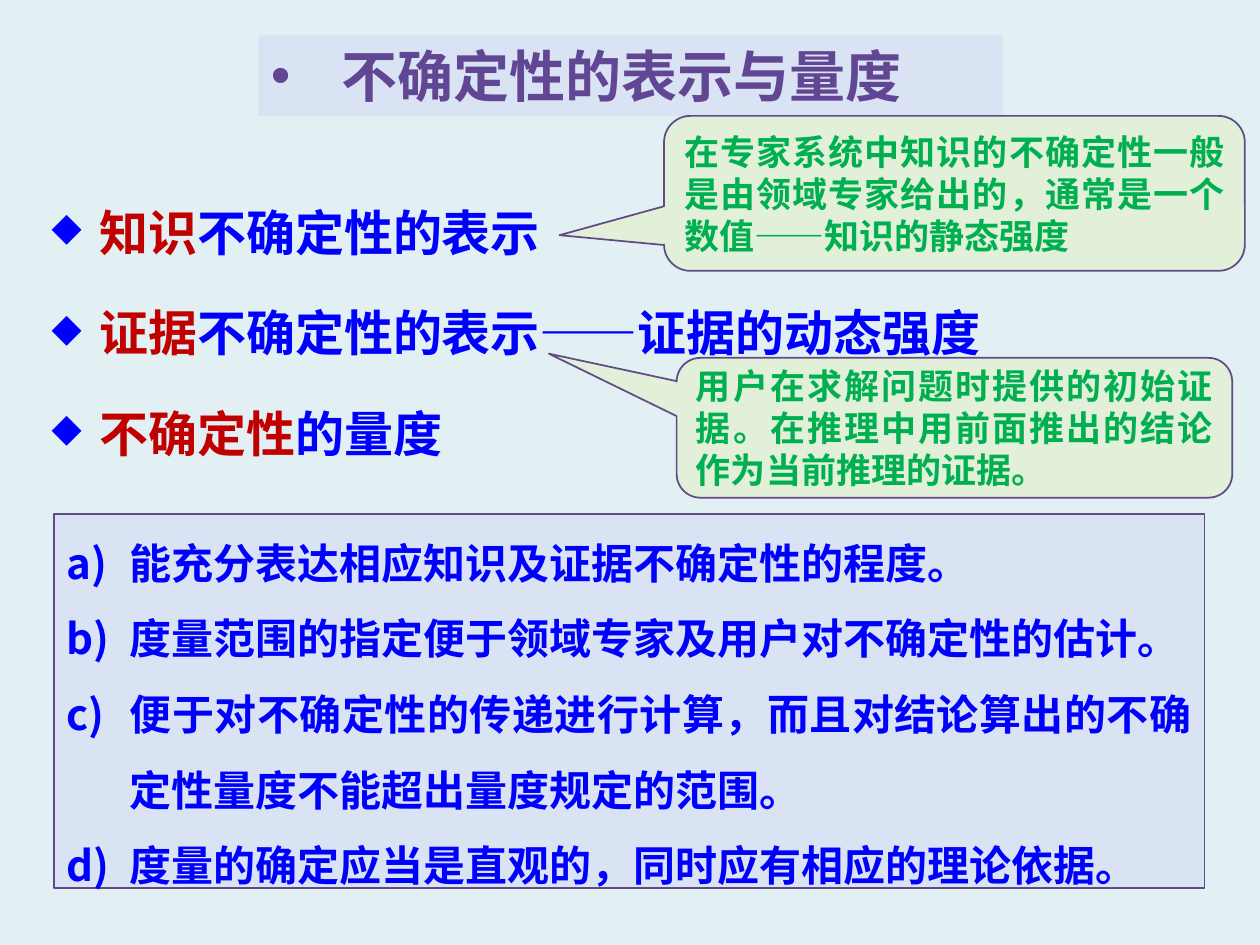
"""Build the slide on representing and measuring uncertainty."""
import lxml.etree
import pptx
import pptx.dml.color
import pptx.enum.shapes
import pptx.enum.text
import pptx.oxml.ns
import pptx.util

Inches = pptx.util.Inches
Pt = pptx.util.Pt
ALIGN = pptx.enum.text.PP_ALIGN
ANCHOR = pptx.enum.text.MSO_ANCHOR
SHAPES = pptx.enum.shapes.MSO_SHAPE
FONT = "Noto Sans CJK SC"
COLORS = {
    "background": "E3F0F3", "panel": "DAE3F3", "callout": "E2F0D9",
    "outline": "604B86", "title": "614693", "blue": "0000FF",
    "red": "C00000", "green": "00B050",
}

TITLE = "不确定性的表示与量度"
TOPICS = [
    [("知识", "red"), ("不确定性的表示", "blue")],
    [("证据", "red"), ("不确定性的表示——证据的动态强度", "blue")],
    [("不确定性", "red"), ("的量度", "blue")],
]
CRITERIA = [
    "能充分表达相应知识及证据不确定性的程度。",
    "度量范围的指定便于领域专家及用户对不确定性的估计。",
    "便于对不确定性的传递进行计算，而且对结论算出的不确定性量度不能超出量度规定的范围。",
    "度量的确定应当是直观的，同时应有相应的理论依据。",
]
CALLOUTS = [
    ("在专家系统中知识的不确定性一般是由领域专家给出的，通常是一个数值——知识的静态强度",
     (5.27, 0.92, 4.61, 1.23), (-0.68, 0.27, 0.17)),
    ("用户在求解问题时提供的初始证据。在推理中用前面推出的结论作为当前推理的证据。",
     (5.37, 2.84, 4.41, 1.11), (-0.73, -0.53, 0.17)),
]


def rgb(name):
    """Return the named colour."""
    return pptx.dml.color.RGBColor.from_string(COLORS[name])


def add_element(parent, tag, **attributes):
    """Append a DrawingML element."""
    element = lxml.etree.SubElement(parent, pptx.oxml.ns.qn(tag))
    for key, value in attributes.items():
        element.set(key, value)
    return element


def place(shape, box):
    """Move and size a shape in inches."""
    shape.left, shape.top, shape.width, shape.height = map(Inches, box)


def add_bullet(paragraph, color, indent, bullet, bullet_size, bullet_font):
    """Give a paragraph a hanging bullet or an automatic letter."""
    properties = paragraph._p.get_or_add_pPr()
    properties.set("marL", str(Inches(indent)))
    properties.set("indent", str(-Inches(indent)))
    add_element(add_element(properties, "a:buClr"), "a:srgbClr", val=COLORS[color])
    if bullet_size:
        add_element(properties, "a:buSzPct", val=str(bullet_size * 1000))
    add_element(properties, "a:buFont", typeface=bullet_font)
    if bullet == "a)":
        add_element(properties, "a:buAutoNum", type="alphaLcParenR")
    else:
        add_element(properties, "a:buChar", char=bullet)


def write(shape, paragraphs, size, color, align=ALIGN.LEFT, anchor=ANCHOR.TOP,
          spacing=1.0, before=0, bullet=None, indent=0, bullet_size=None,
          bullet_font=FONT):
    """Write paragraphs, each a string or a list of (text, colour) runs."""
    frame = shape.text_frame
    frame.word_wrap = True
    frame.auto_size = pptx.enum.text.MSO_AUTO_SIZE.NONE
    frame.vertical_anchor = anchor
    for index, content in enumerate(paragraphs):
        paragraph = frame.add_paragraph() if index else frame.paragraphs[0]
        if bullet:
            add_bullet(paragraph, color, indent, bullet, bullet_size, bullet_font)
        paragraph.alignment = align
        paragraph.line_spacing = spacing
        paragraph.space_before = Pt(before if index else 0)
        runs = [(content, color)] if isinstance(content, str) else content
        for text, run_color in runs:
            run = paragraph.add_run()
            run.text = text
            run.font.size = Pt(size)
            run.font.bold = True
            run.font.name = FONT
            run.font.color.rgb = rgb(run_color)
            add_element(run._r.get_or_add_rPr(), "a:ea", typeface=FONT)


def add_panel(slide, kind, box, fill):
    """Add a filled and outlined shape."""
    shape = slide.shapes.add_shape(kind, *map(Inches, box))
    shape.shadow.inherit = False
    shape.fill.solid()
    shape.fill.fore_color.rgb = rgb(fill)
    shape.line.color.rgb = rgb("outline")
    shape.line.width = Pt(1)
    return shape


def main():
    """Build and save the slide."""
    presentation = pptx.Presentation()
    presentation.slide_width, presentation.slide_height = Inches(10), Inches(7.5)
    slide = presentation.slides.add_slide(presentation.slide_layouts[1])
    slide.background.fill.solid()
    slide.background.fill.fore_color.rgb = rgb("background")

    title, body = slide.placeholders
    place(title, (2.05, 0.28, 5.91, 0.64))
    title.fill.solid()
    title.fill.fore_color.rgb = rgb("panel")
    write(title, [TITLE], size=32, color="title", bullet="•", indent=0.56,
          bullet_font="Arial")
    place(body, (0.31, 1.32, 8.99, 2.44))
    write(body, TOPICS, size=28, color="blue", spacing=1.5, before=7,
          bullet="◆", indent=0.38, bullet_size=80, bullet_font="OpenSymbol")

    criteria = add_panel(slide, SHAPES.RECTANGLE, (0.43, 4.08, 9.13, 2.97), "panel")
    write(criteria, CRITERIA, size=24, color="blue", align=ALIGN.JUSTIFY,
          anchor=ANCHOR.MIDDLE, spacing=1.5, bullet="a)", indent=0.5)
    for text, box, adjustments in CALLOUTS:
        callout = add_panel(slide, SHAPES.ROUNDED_RECTANGULAR_CALLOUT, box, "callout")
        for index, value in enumerate(adjustments):
            callout.adjustments[index] = value
        write(callout, [text], size=20, color="green", align=ALIGN.JUSTIFY,
              anchor=ANCHOR.MIDDLE)
    presentation.save("out.pptx")


if __name__ == "__main__":
    main()
